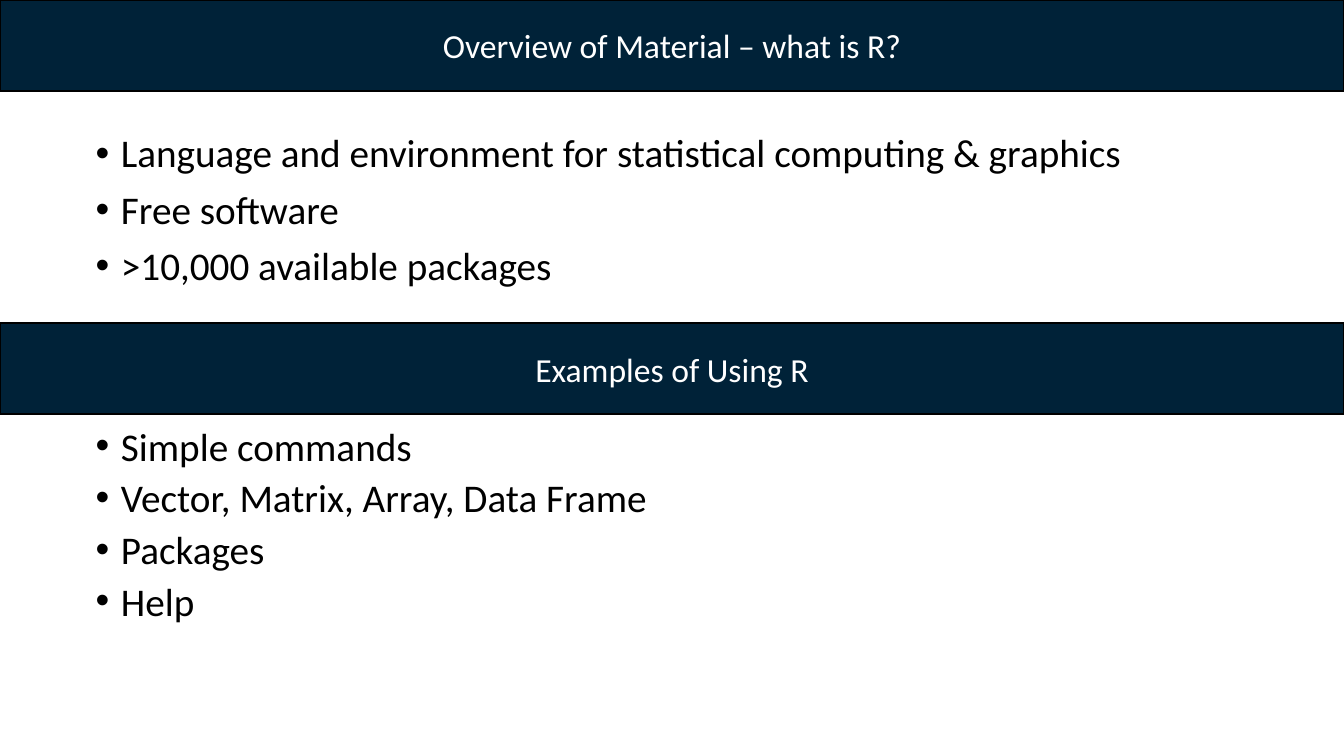
from dataclasses import dataclass

import lxml.etree
import pptx
import pptx.dml.color
import pptx.enum.shapes
import pptx.enum.text
import pptx.oxml.ns
import pptx.util

Cm = pptx.util.Cm
Pt = pptx.util.Pt
WIDE = 33.87
INDENT = 0.64


@dataclass
class Part:
    title: str
    top: float
    items: list[str]
    list_top: float
    height: float
    spacing: float


PARTS = [
    Part("Overview of Material – what is R?", 0,
         ["Language and environment for statistical computing & graphics",
          "Free software", ">10,000 available packages"],
         3.25, 4.57, 0.9),
    Part("Examples of Using R", 8.15,
         ["Simple commands", "Vector, Matrix, Array, Data Frame",
          "Packages", "Help"],
         10.74, 5.56, 0.8),
]


def color(code: str) -> pptx.dml.color.RGBColor:
    return pptx.dml.color.RGBColor.from_string(code)


def bullet(para) -> None:
    props = para._p.get_or_add_pPr()
    props.set("marL", str(Cm(INDENT)))
    props.set("indent", str(-Cm(INDENT)))
    for tag, key, value in (("a:buFont", "typeface", "Arial"),
                            ("a:buChar", "char", "•")):
        node = lxml.etree.SubElement(props, pptx.oxml.ns.qn(tag))
        node.set(key, value)


def write(frame, lines: list[str], *, size: int, ink: str,
          align: str = "LEFT", anchor: str = "TOP", spacing: float = 1,
          before: int = 0, dots: bool = False) -> None:
    frame.word_wrap = True
    frame.vertical_anchor = pptx.enum.text.MSO_ANCHOR[anchor]
    for index, line in enumerate(lines):
        para = frame.add_paragraph() if index else frame.paragraphs[0]
        para.alignment = pptx.enum.text.PP_ALIGN[align]
        para.line_spacing = spacing
        para.space_before = Pt(before)
        if dots:
            bullet(para)
        run = para.add_run()
        run.text = line
        run.font.name = "Calibri"
        run.font.size = Pt(size)
        run.font.color.rgb = color(ink)


def banner(slide, part: Part) -> None:
    shape = slide.shapes.add_shape(
        pptx.enum.shapes.MSO_SHAPE.RECTANGLE,
        Cm(0), Cm(part.top), Cm(WIDE), Cm(2.29))
    shape.shadow.inherit = False
    shape.fill.solid()
    shape.fill.fore_color.rgb = color("002238")
    shape.line.color.rgb = color("000000")
    shape.line.width = Pt(1.5)
    write(shape.text_frame, [part.title], size=24, ink="FFFFFF",
          align="CENTER", anchor="MIDDLE")


def points(slide, part: Part) -> None:
    box = slide.shapes.add_textbox(
        Cm(2.16), Cm(part.list_top), Cm(29.21), Cm(part.height))
    write(box.text_frame, part.items, size=28, ink="000000",
          spacing=part.spacing, before=10, dots=True)


def main() -> None:
    deck = pptx.Presentation()
    deck.slide_width = Cm(WIDE)
    deck.slide_height = Cm(19.05)
    slide = deck.slides.add_slide(deck.slide_layouts[6])
    for part in PARTS:
        points(slide, part)
        banner(slide, part)
    deck.save("out.pptx")


if __name__ == "__main__":
    main()
